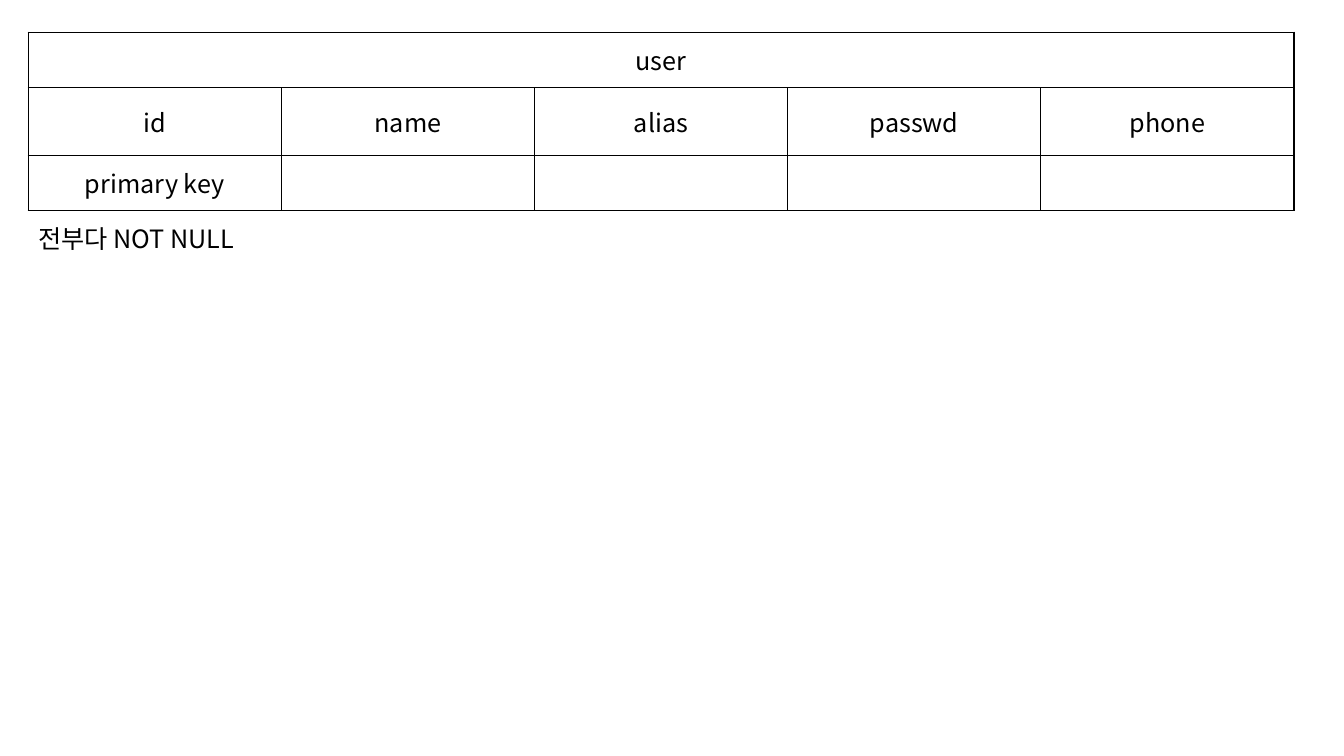
import lxml.etree
import pptx
import pptx.dml.color
import pptx.enum.text
import pptx.oxml.ns
import pptx.util

Cm = pptx.util.Cm
COLOURS = {"ink": "000000"}
FONT_NAME = "Noto Sans CJK KR"
FONT_FORMAT = {"name": FONT_NAME, "size": pptx.util.Pt(18)}
FIELDS = ["id", "name", "alias", "passwd", "phone"]
USER_ROWS = [["user"], FIELDS, ["primary key"]]
ROW_HEIGHTS = [1.4, 1.7, 1.4]
COLUMN_WIDTH = 6.38
LEFT = 0.71


def add_child(parent, tag, **attributes):
    """Append a DrawingML element and return it."""
    return lxml.etree.SubElement(parent, pptx.oxml.ns.qn(tag), attributes)


def write_text(text_frame, text, alignment):
    """Write one formatted paragraph."""
    paragraph = text_frame.paragraphs[0]
    paragraph.alignment = alignment
    run = paragraph.add_run()
    run.text = text
    for attribute, value in FONT_FORMAT.items():
        setattr(run.font, attribute, value)
    run.font.color.rgb = pptx.dml.color.RGBColor.from_string(COLOURS["ink"])
    add_child(run.font._element, "a:ea", typeface=FONT_NAME)


def style_cell(cell):
    """Give a cell thin borders on all sides and no fill."""
    cell.vertical_anchor = pptx.enum.text.MSO_ANCHOR.MIDDLE
    properties = cell._tc.get_or_add_tcPr()
    for side in "LRTB":
        line = add_child(properties, f"a:ln{side}", w=str(pptx.util.Pt(1)))
        fill = add_child(line, "a:solidFill")
        add_child(fill, "a:srgbClr", val=COLOURS["ink"])
    cell.fill.background()


def add_schema_table(slide, left, top, rows):
    """Draw a table whose first row is a title across all columns."""
    column_count = len(FIELDS)
    table = slide.shapes.add_table(
        len(rows), column_count, Cm(left), Cm(top),
        Cm(COLUMN_WIDTH * column_count), Cm(sum(ROW_HEIGHTS))).table
    for column in table.columns:
        column.width = Cm(COLUMN_WIDTH)
    for row, height in zip(table.rows, ROW_HEIGHTS):
        row.height = Cm(height)
    table.first_row = table.horz_banding = False
    table.cell(0, 0).merge(table.cell(0, column_count - 1))
    for cell in table.iter_cells():
        style_cell(cell)
    for row_index, texts in enumerate(rows):
        for column_index, text in enumerate(texts):
            cell = table.cell(row_index, column_index)
            write_text(cell.text_frame, text, pptx.enum.text.PP_ALIGN.CENTER)


def add_note(slide, left, top, width, height, text):
    """Add a wrapping, left-aligned text box."""
    box = slide.shapes.add_textbox(Cm(left), Cm(top), Cm(width), Cm(height))
    box.text_frame.word_wrap = True
    box.text_frame.auto_size = pptx.enum.text.MSO_AUTO_SIZE.SHAPE_TO_FIT_TEXT
    write_text(box.text_frame, text, pptx.enum.text.PP_ALIGN.LEFT)


def main():
    """Build the user schema slide."""
    presentation = pptx.Presentation()
    presentation.slide_width = Cm(33.87)
    presentation.slide_height = Cm(19.05)
    slide = presentation.slides.add_slide(presentation.slide_layouts[6])
    add_schema_table(slide, LEFT, 0.81, USER_ROWS)
    add_note(slide, LEFT, 5.51, 14.66, 1.02, "전부다 NOT NULL")
    presentation.save("out.pptx")


main()
